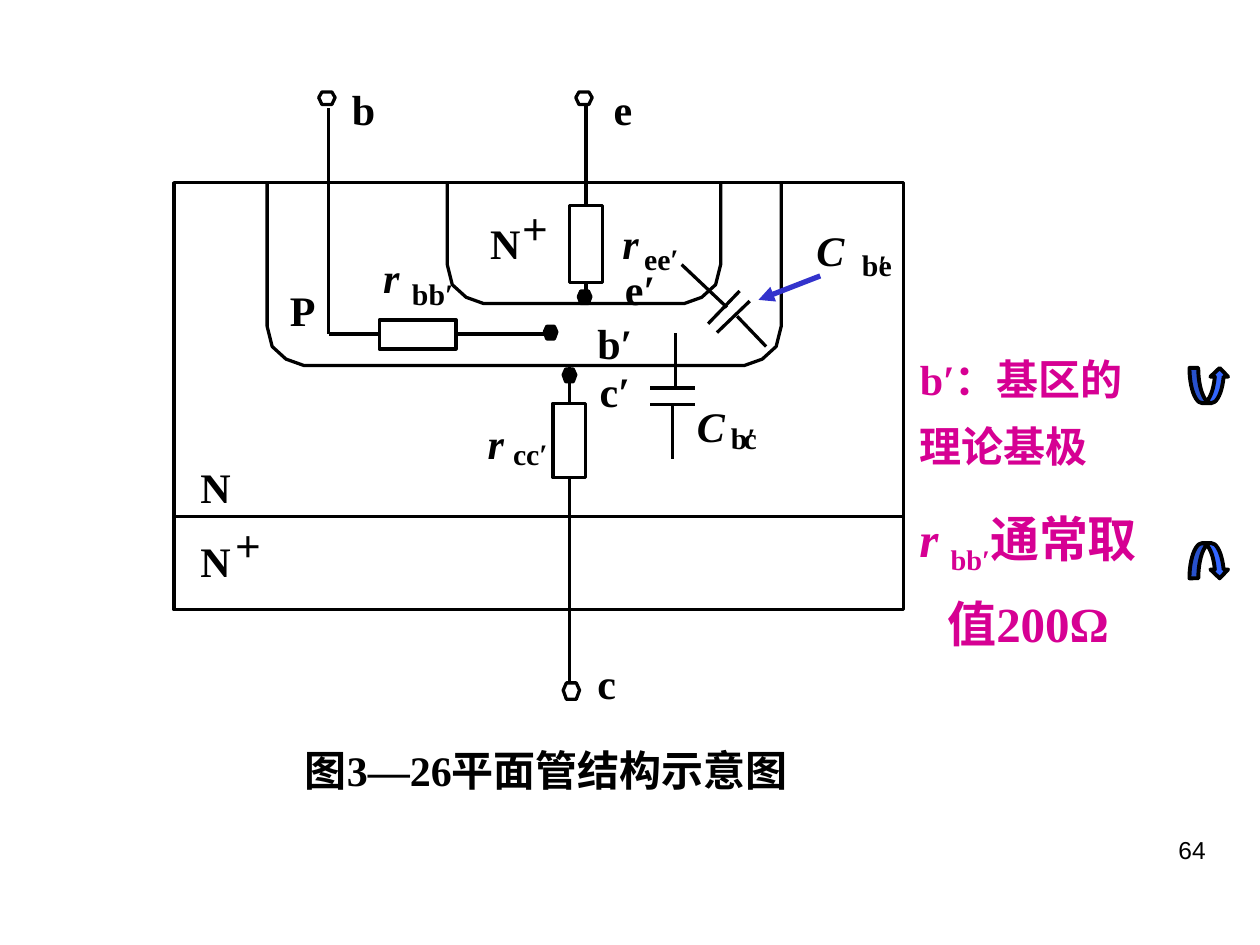
from lxml import etree
from pptx import Presentation
from pptx import util as u
from pptx.dml.color import RGBColor
from pptx.enum import shapes, text
from pptx.oxml.ns import qn

BLACK, WHITE, MAGENTA = "000000", "FFFFFF", "D60093"
SERIF = "Times New Roman"
STROKE = 1.87


def rgb(value):
    return RGBColor.from_string(value)


def style(sp, fill=None, width=STROKE):
    sp.shadow.inherit = False
    if fill:
        sp.fill.solid()
        sp.fill.fore_color.rgb = rgb(fill)
    else:
        sp.fill.background()
    sp.line.color.rgb = rgb(BLACK)
    sp.line.width = u.Pt(width)


def add_rect(s, x, y, w, h, fill=None):
    sp = s.shapes.add_shape(shapes.MSO_SHAPE.RECTANGLE, *map(u.Inches, (x, y, w, h)))
    style(sp, fill)


def add_line(s, x1, y1, x2, y2, color=BLACK, width=STROKE, arrow=False):
    sp = s.shapes.add_connector(shapes.MSO_CONNECTOR.STRAIGHT,
                                *map(u.Inches, (x1, y1, x2, y2)))
    sp.line.color.rgb = rgb(color)
    sp.line.width = u.Pt(width)
    if arrow:
        etree.SubElement(sp.line._get_or_add_ln(), qn("a:tailEnd"), type="triangle")
    etree.SubElement(sp._element.spPr, qn("a:effectLst"))


def add_outline(s, points, fill=None, close=False):
    pts = [(u.Inches(x), u.Inches(y)) for x, y in points]
    builder = s.shapes.build_freeform(*pts[0])
    builder.add_line_segments(pts[1:], close=close)
    style(builder.convert_to_shape(), fill)


def add_hexagon(s, x, y, w, h, fill):
    corners = [(0, .45), (.2, 0), (.8, 0), (1, .45), (.8, 1), (.2, 1)]
    add_outline(s, [(x + w * a, y + h * b) for a, b in corners], fill, close=True)


def add_well(s, left, right, top, bottom):
    """Open-topped diffusion region with bevelled lower corners."""
    bevel = [(0, .31), (.04, .15), (.15, .05), (.29, 0)]
    left_side = [(left + dx, bottom - dy) for dx, dy in bevel]
    right_side = [(right - dx, bottom - dy) for dx, dy in reversed(bevel)]
    add_outline(s, [(left, top), *left_side, *right_side, (right, top)])


def add_text(s, x, y, w, h, words, size, color=BLACK, font=SERIF, bold=True,
             italic=False, align=text.PP_ALIGN.LEFT, wrap=True, spacing=1.0):
    """Words is one string, or a list of strings to be runs; returns the paragraph."""
    tf = s.shapes.add_textbox(*map(u.Inches, (x, y, w, h))).text_frame
    tf.margin_left = tf.margin_right = tf.margin_top = tf.margin_bottom = 0
    tf.word_wrap = wrap
    tf.auto_size = text.MSO_AUTO_SIZE.SHAPE_TO_FIT_TEXT
    p = tf.paragraphs[0]
    p.alignment = align
    p.line_spacing = spacing
    for words_run in [words] if isinstance(words, str) else words:
        r = p.add_run()
        r.text = words_run
        r.font.size = u.Pt(size)
        r.font.name = font
        r.font.bold = bold
        r.font.italic = italic
        r.font.color.rgb = rgb(color)
    return p


def transistor(s, x, y):
    add_rect(s, x, y + .72, 5.79, 3.39)
    add_well(s, x + .74, x + 4.82, y + .72, y + 2.17)
    add_well(s, x + 2.17, x + 4.34, y + .72, y + 1.68)

    wires = [
        (5.79, 3.37, 0, 3.37),                                    # substrate boundary
        (1.23, .13, 1.23, 1.92), (2.97, 1.92, 1.23, 1.92),        # base
        (3.27, 0, 3.27, 1.68), (3.14, 2.17, 3.14, 4.82),          # emitter, collector
        (3.98, 2.34, 3.98, 1.91), (3.78, 2.35, 4.14, 2.35),       # collector capacitor
        (3.78, 2.48, 4.14, 2.48), (3.96, 2.91, 3.96, 2.48),
        (4.7, 2.02, 4.47, 1.78), (4.24, 1.84, 4.49, 1.58),        # emitter capacitor
        (4.31, 1.91, 4.57, 1.66), (4.39, 1.71, 4.03, 1.37),
    ]
    for x1, y1, x2, y2 in wires:
        add_line(s, x + x1, y + y1, x + x2, y + y2)
    add_line(s, x + 5.13, y + 1.46, x + 4.64, y + 1.65, "3333CC", 3, arrow=True)

    resistors = [(3.01, 2.47, .26, .59), (1.63, 1.81, .61, .23), (3.14, .9, .26, .61)]
    for dx, dy, w, h in resistors:
        add_rect(s, x + dx, y + dy, w, h, WHITE)
    for dx, dy, h in [(1.15, 0, .1), (3.19, 0, .1), (3.09, 4.69, .13)]:
        add_hexagon(s, x + dx, y + dy, .13, h, WHITE)
    for dx, dy in [(2.94, 1.86), (3.21, 1.58), (3.09, 2.2)]:
        add_hexagon(s, x + dx, y + dy, .1, .1, BLACK)
    transistor_labels(s, x, y)


def transistor_labels(s, x, y):
    names = [
        ("b", 1.41, -.07, .19), ("e", 3.49, -.07, .15), ("c", 3.36, 4.49, .15),
        ("P", .92, 1.53, .2), ("N", 2.51, 1, .24), ("N", .21, 2.93, .24),
        ("N", .21, 3.52, .24), ("b′", 3.34, 1.79, .32), ("e′", 3.54, 1.36, .32),
        ("c′", 3.34, 2.17, .32),
    ]
    symbols = [
        ("r", 1.66, 1.27, .13), ("r", 2.49, 2.58, .13), ("r", 3.56, 1, .13),
        ("C", 4.15, 2.45, .22), ("C", 5.1, 1.05, .22),
    ]
    scripts = [
        ("bb′", 1.87, 1.46, .37), ("cc′", 2.67, 2.73, .32), ("ee′", 3.71, 1.18, .32),
        ("b′", 4.4, 2.6, .24), ("c", 4.52, 2.6, .11), ("b′", 5.44, 1.23, .24),
        ("e", 5.59, 1.23, .11), ("＋", 2.75, .95, .24), ("＋", .47, 3.47, .24),
    ]
    for group, size, h, italic in [(names, 24, .4, False), (symbols, 24, .4, True),
                                   (scripts, 17, .28, False)]:
        for words, dx, dy, w in group:
            add_text(s, x + dx, y + dy, w, h, words, size, italic=italic,
                     align=text.PP_ALIGN.CENTER, wrap=False)


def notes_column(s, x, y):
    add_text(s, x + .07, y, 1.89, 1.06, "b′：基区的理论基极", 24, MAGENTA, spacing=1.32)
    p = add_text(s, x, y + 1.2, 1.86, 1.3, ["r ", "bb′", "通常取值200Ω"], 28, MAGENTA,
                 align=text.PP_ALIGN.CENTER, spacing=1.3)
    symbol, script, _ = p.runs
    symbol.font.italic = True
    script.font._element.set("baseline", "-25000")


def page_turners(s, x, y):
    kinds = [shapes.MSO_SHAPE.CURVED_UP_ARROW, shapes.MSO_SHAPE.CURVED_DOWN_ARROW]
    for i, kind in enumerate(kinds):
        sp = s.shapes.add_shape(kind, *map(u.Inches, (x, y + i * 1.39, .31, .28)))
        style(sp, "3366FF", 2.25)


def main():
    prs = Presentation()
    prs.slide_width, prs.slide_height = u.Inches(10), u.Inches(7.5)
    s = prs.slides.add_slide(prs.slide_layouts[6])
    page_turners(s, 9.44, 2.92)
    transistor(s, 1.38, .73)
    notes_column(s, 7.23, 2.68)
    add_text(s, 2.42, 5.91, 4.13, .4, "图3―26平面管结构示意图", 24)
    add_text(s, 7.27, 6.63, 2.3, .42, "64", 14, font="Arial", bold=False,
             align=text.PP_ALIGN.RIGHT)
    prs.save("out.pptx")


if __name__ == "__main__":
    main()
